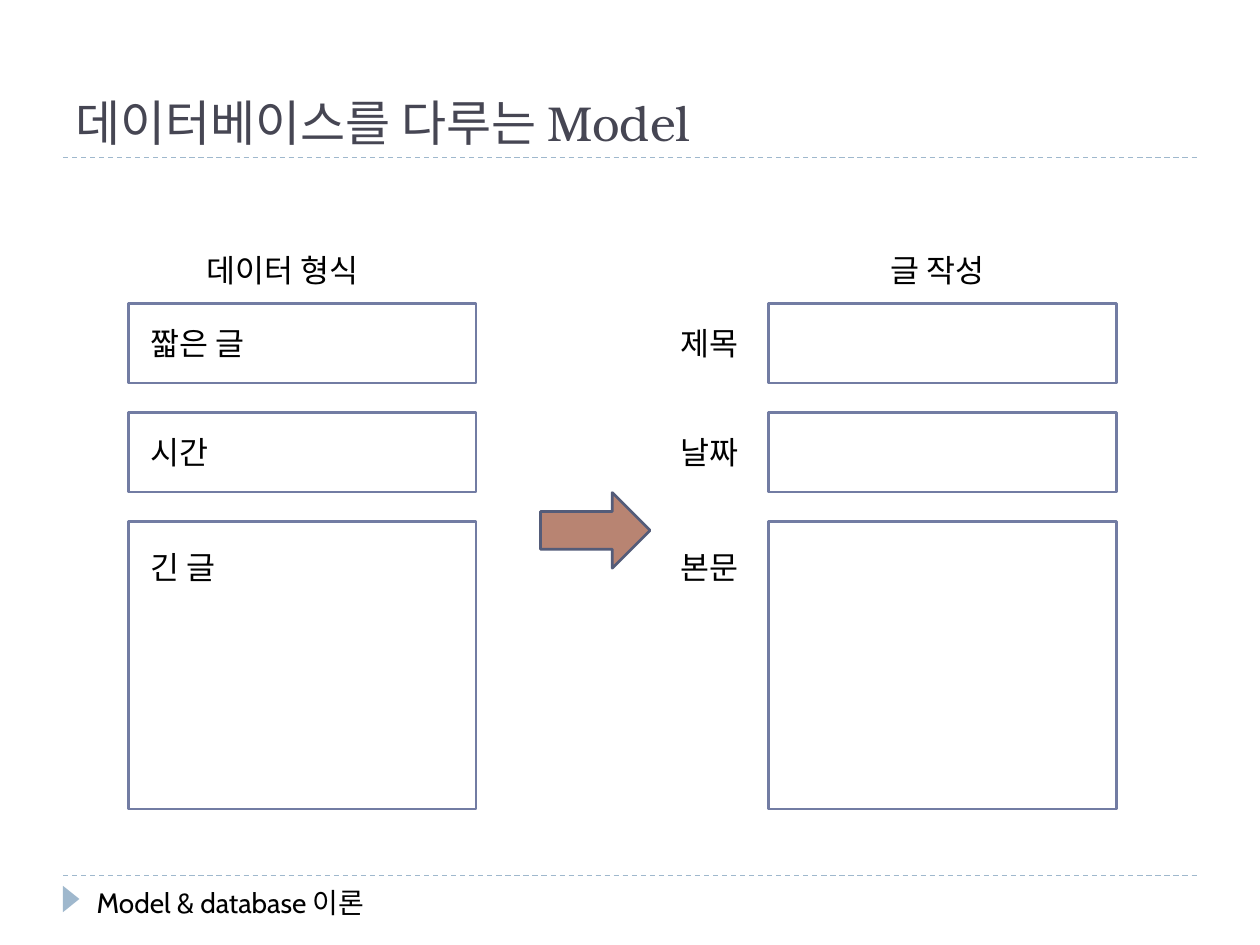
from lxml import etree
from pptx import Presentation
from pptx.dml.color import RGBColor
from pptx.enum import dml, shapes, text
from pptx.oxml.ns import qn
from pptx.util import Pt

THEME = {
    "heading_font": "TeX Gyre Bonum", "body_font": "Cabin",
    "heading_size": 28, "body_size": 18, "footer_size": 16,
    "heading": "464653", "ink": "000000", "rule": "9FB8CD",
    "box_line": "727CA3", "arrow": "B88472", "arrow_line": "545C79",
}
TITLE = "데이터베이스를 다루는 Model"
FOOTER = "Model & database 이론"
# Heading, heading left and width, box left, label left, label width and inset, labels
COLUMNS = [
    ("데이터 형식", 110.9, 124.6, 73.4, 79.2, 93.6, 7.2, ["짧은 글", "시간", "긴 글"]),
    ("글 작성", 501.8, 96.5, 439.2, 377.3, 62.6, 11.5, ["제목", "날짜", "본문"]),
]
# Box height and distance from its top to its label
ROWS = [(45.4, 8), (45.4, 8), (164.2, 11.5)]
BOX_WIDTH, FIRST_TOP, ROW_GAP = 198.7, 173.5, 16.9
HEADING_TOP, LABEL_HEIGHT = 139.7, 29
RULE_LEFT, RULE_RIGHT, RULE_TOPS = 36, 684, (90, 500.4)


def color(name):
    return RGBColor.from_string(THEME[name])


def add_text(slide, wording, left, top, width, height, size="body_size",
             font="body_font", ink="ink", inset=7.2,
             anchor=text.MSO_ANCHOR.TOP):
    box = slide.shapes.add_textbox(Pt(left), Pt(top), Pt(width), Pt(height))
    frame = box.text_frame
    frame.word_wrap = True
    frame.margin_left = Pt(inset)
    frame.vertical_anchor = anchor
    frame.text = wording
    run_font = frame.paragraphs[0].runs[0].font
    run_font.name = THEME[font]
    run_font.size = Pt(THEME[size])
    run_font.color.rgb = color(ink)


def add_figure(slide, kind, left, top, width, height, fill=None, line=None):
    shape = slide.shapes.add_shape(kind, Pt(left), Pt(top), Pt(width), Pt(height))
    shape.shadow.inherit = False
    if fill:
        shape.fill.solid()
        shape.fill.fore_color.rgb = color(fill)
    else:
        shape.fill.background()
    if line:
        shape.line.color.rgb = color(line)
        shape.line.width = Pt(1.5)
    else:
        shape.line.fill.background()
    return shape


def add_rule(slide, top):
    rule = slide.shapes.add_connector(
        shapes.MSO_CONNECTOR.STRAIGHT, Pt(RULE_LEFT), Pt(top), Pt(RULE_RIGHT), Pt(top))
    rule.line.color.rgb = color("rule")
    rule.line.width = Pt(0.75)
    rule.line.dash_style = dml.MSO_LINE.DASH
    etree.SubElement(rule._element.spPr, qn("a:effectLst"))


def add_column(slide, heading, heading_left, heading_width, box_left,
               label_left, label_width, inset, labels):
    add_text(slide, heading, heading_left, HEADING_TOP, heading_width, LABEL_HEIGHT)
    top = FIRST_TOP
    for label, (height, label_offset) in zip(labels, ROWS):
        add_figure(slide, shapes.MSO_SHAPE.RECTANGLE, box_left, top,
                   BOX_WIDTH, height, line="box_line")
        add_text(slide, label, label_left, top + label_offset,
                 label_width, LABEL_HEIGHT, inset=inset)
        top += height + ROW_GAP


def main():
    presentation = Presentation()
    presentation.slide_width, presentation.slide_height = Pt(720), Pt(540)
    slide = presentation.slides.add_slide(presentation.slide_layouts[6])

    for top in RULE_TOPS:
        add_rule(slide, top)
    marker = add_figure(slide, shapes.MSO_SHAPE.ISOSCELES_TRIANGLE,
                        33.1, 509, 15.1, 9.4, fill="rule")
    marker.rotation = 90
    add_text(slide, TITLE, 36, 12.2, 648, 77.8, "heading_size", "heading_font",
             "heading", anchor=text.MSO_ANCHOR.BOTTOM)
    for column in COLUMNS:
        add_column(slide, *column)
    add_figure(slide, shapes.MSO_SHAPE.RIGHT_ARROW, 308.9, 281.5, 62.6, 43.2,
               fill="arrow", line="arrow_line")
    add_text(slide, FOOTER, 48.2, 502.6, 187.2, 26.6, "footer_size")
    presentation.save("out.pptx")


if __name__ == "__main__":
    main()
